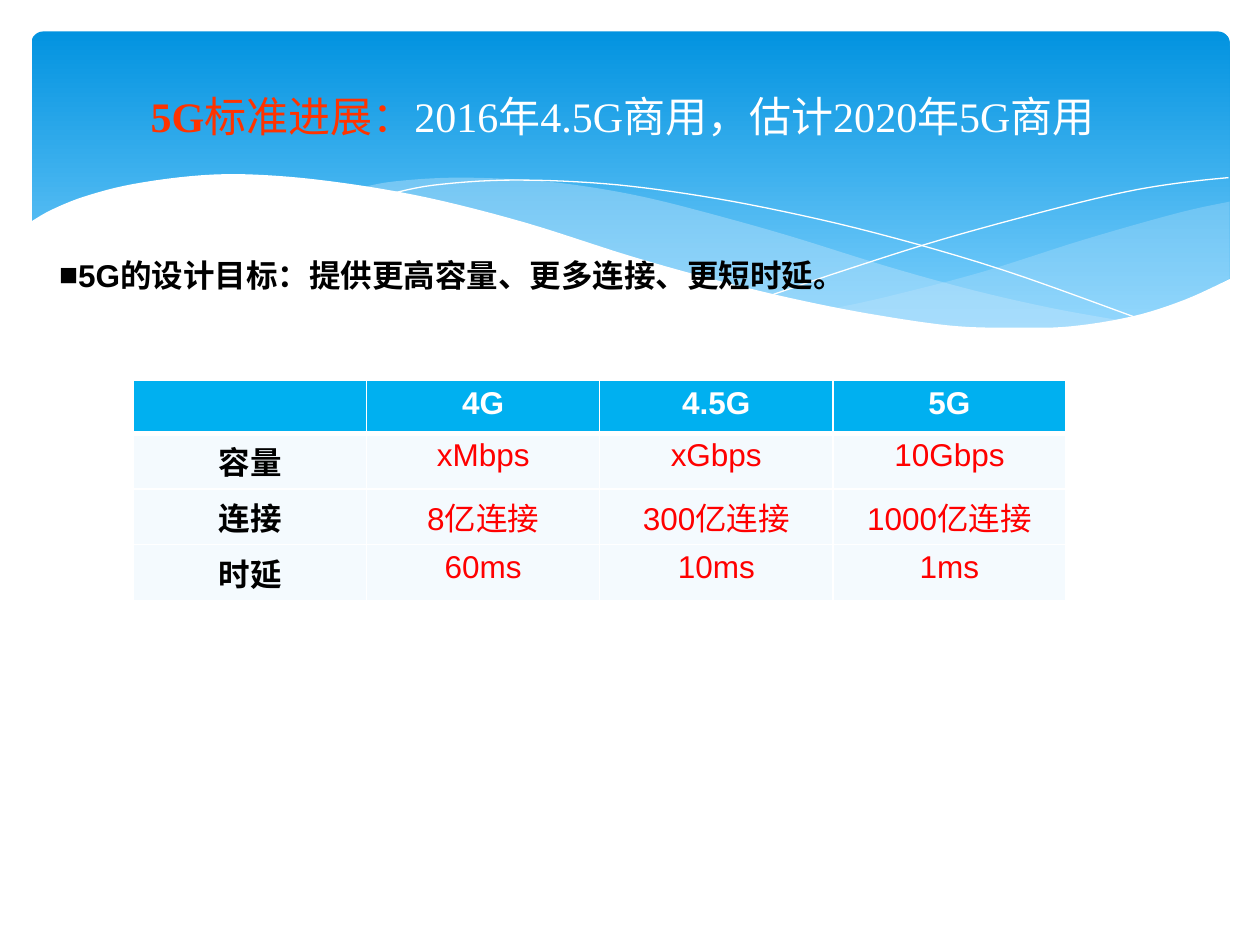
"""Build the slide on 5G standard progress, with a wave banner and a comparison table."""
from dataclasses import dataclass
from typing import Optional

from lxml.etree import SubElement
from pptx import Presentation
from pptx.dml.color import RGBColor
from pptx.enum.shapes import MSO_SHAPE
from pptx.enum.text import MSO_ANCHOR, MSO_AUTO_SIZE, PP_ALIGN
from pptx.oxml.ns import qn
from pptx.util import Inches, Pt

Point = tuple[float, float]


@dataclass(frozen=True)
class Theme:
    """Colours, fonts and type sizes of the slide."""
    white: str = "FFFFFF"
    black: str = "000000"
    banner_top: str = "0293E0"
    banner_end: str = "83D3FE"
    wave: str = "C6E7FC"
    accent: str = "FF3300"
    head: str = "00B0F0"
    cell: str = "F4FAFE"
    value: str = "FF0000"
    title_font: str = "Times New Roman"
    body_font: str = "Arial"
    title_size: int = 24
    body_size: int = 18


@dataclass(frozen=True)
class Wave:
    """Smooth curves joined by straight lines, filled when a fill is given."""
    curves: tuple[tuple[Point, ...], ...]
    fill: Optional[str] = None
    alpha: int = 100


T = Theme()
WAVES = (
    Wave((((9.76, 1.6), (9.35, 1.69), (8.61, 1.9), (7.79, 2.16), (7.06, 2.35), (6.61, 2.45)),
          ((6.61, 2.45), (7.05, 2.53), (7.57, 2.59), (8.03, 2.62), (8.54, 2.59), (8.97, 2.52),
           (9.35, 2.41), (9.76, 2.21))), T.wave, 29),
    Wave((((8.93, 2.55), (8.37, 2.45), (7.75, 2.31), (7.06, 2.12), (6.29, 1.88), (5.69, 1.71),
           (5.14, 1.57), (4.65, 1.48), (4.2, 1.43), (3.61, 1.41), (3.13, 1.44), (2.86, 1.49)),
          ((2.86, 1.49), (3.42, 1.59), (4.04, 1.75), (4.91, 2.02), (5.66, 2.24), (6.34, 2.4),
           (6.95, 2.52), (7.48, 2.59), (8.07, 2.63), (8.48, 2.62), (8.93, 2.55))), T.wave, 40),
    Wave((((3.09, 1.54), (3.44, 1.47), (4.01, 1.43), (4.69, 1.45), (5.33, 1.52), (6.08, 1.65),
           (6.95, 1.85), (7.95, 2.14), (9.07, 2.54)),)),
    Wave((((6.13, 2.34), (6.72, 2.14), (7.48, 1.9), (8.36, 1.66), (8.95, 1.52), (9.38, 1.45),
           (9.75, 1.41)),)),
    Wave((((9.77, 2.21), (9.4, 2.38), (8.99, 2.51), (8.5, 2.59), (8.09, 2.6), (7.61, 2.59),
           (7.08, 2.52), (6.48, 2.41), (5.79, 2.25), (5.03, 2.04), (4.18, 1.77), (3.4, 1.57),
           (2.71, 1.45), (2.11, 1.39), (1.61, 1.39), (1.06, 1.46), (0.67, 1.56), (0.4, 1.67),
           (0.23, 1.77)), ((0.23, 3.29), (9.77, 3.29))), T.white),
)
ROWS = (
    ("", "4G", "4.5G", "5G"),
    ("容量", "xMbps", "xGbps", "10Gbps"),
    ("连接", "8亿连接", "300亿连接", "1000亿连接"),
    ("时延", "60ms", "10ms", "1ms"),
)


def set_all(obj, **fmt) -> None:
    """Set each named attribute on an object."""
    for name, value in fmt.items():
        setattr(obj, name, value)


def paint(fill, color: str) -> None:
    """Give a fill one solid colour."""
    fill.solid()
    fill.fore_color.rgb = RGBColor.from_string(color)


def add_run(p, text: str, color: str, **fmt) -> None:
    """Add a formatted run to a paragraph."""
    r = p.add_run()
    r.text = text
    set_all(r.font, **fmt)
    r.font.color.rgb = RGBColor.from_string(color)


def smooth(pts: tuple[Point, ...], steps: int = 6) -> list[Point]:
    """Return points along a Catmull-Rom curve through the given points."""
    if len(pts) < 3:
        return list(pts)
    ends = (pts[0], *pts, pts[-1])
    curve = [pts[0]]
    for a, b, c, d in zip(ends, ends[1:], ends[2:], ends[3:]):
        for t in (i / steps for i in range(1, steps + 1)):
            x, y = (0.5 * (2 * q + (r - p) * t + (2 * p - 5 * q + 4 * r - u) * t ** 2
                           + (3 * q - p - 3 * r + u) * t ** 3)
                    for p, q, r, u in zip(a, b, c, d))
            curve.append((x, y))
    return curve


def add_banner(s) -> None:
    """Draw the rounded gradient banner."""
    sp = s.shapes.add_shape(MSO_SHAPE.ROUNDED_RECTANGLE, Inches(0.25), Inches(0.25),
                            Inches(9.51), Inches(2.7))
    sp.shadow.inherit = False
    sp.adjustments[0] = 0.034
    sp.line.fill.background()
    sp.fill.gradient()
    sp.fill.gradient_angle = 270
    stops = ((0, T.banner_top), (0.9, T.banner_end))
    for stop, (position, color) in zip(sp.fill.gradient_stops, stops):
        stop.position = position
        stop.color.rgb = RGBColor.from_string(color)


def add_wave(s, wave: Wave) -> None:
    """Draw one wave as a filled outline or a hairline."""
    pts = [(Inches(x), Inches(y)) for curve in wave.curves for x, y in smooth(curve)]
    fb = s.shapes.build_freeform(*pts[0])
    fb.add_line_segments(pts[1:], close=wave.fill is not None)
    sp = fb.convert_to_shape()
    sp.shadow.inherit = False
    if wave.fill is None:
        sp.fill.background()
        paint(sp.line.fill, T.white)
        sp.line.width = Pt(0)
        return
    sp.line.fill.background()
    paint(sp.fill, wave.fill)
    if wave.alpha < 100:
        color = sp.fill._xPr.find(qn("a:solidFill"))[0]
        SubElement(color, qn("a:alpha"), val=str(wave.alpha * 1000))


def place(s, sp, left: float, top: float, width: float, height: float):
    """Move a placeholder to the front and return its first paragraph."""
    set_all(sp, left=Inches(left), top=Inches(top), width=Inches(width), height=Inches(height))
    s.shapes._spTree.append(sp._element)
    set_all(sp.text_frame, word_wrap=True, auto_size=MSO_AUTO_SIZE.NONE)
    return sp.text_frame.paragraphs[0]


def add_title(s) -> None:
    """Write the two-coloured title."""
    p = place(s, s.shapes.title, 0.34, 0.6, 9.12, 0.64)
    s.shapes.title.text_frame.vertical_anchor = MSO_ANCHOR.MIDDLE
    p.alignment = PP_ALIGN.CENTER
    fmt = {"size": Pt(T.title_size), "name": T.title_font}
    add_run(p, " 5G", T.accent, bold=True, **fmt)
    add_run(p, "标准进展：", T.accent, **fmt)
    add_run(p, "2016年4.5G商用，估计2020年5G商用", T.white, **fmt)


def add_goal(s) -> None:
    """Write the bulleted design goal."""
    p = place(s, s.placeholders[1], 0.37, 1.83, 9.45, 0.56)
    set_all(p, line_spacing=1.5, space_before=Pt(0))
    pPr = p._p.get_or_add_pPr()
    pPr.set("marL", "0")
    pPr.set("indent", "0")
    SubElement(pPr, qn("a:buChar"), char="■")
    add_run(p, "5G的设计目标：提供更高容量、更多连接、更短时延。", T.black,
            size=Pt(T.body_size), name=T.body_font, bold=True)


def add_borders(cell, widths: dict[str, int]) -> None:
    """Give a cell white borders of the given widths in points."""
    tcPr = cell._tc.get_or_add_tcPr()
    for side, width in widths.items():
        ln = SubElement(tcPr, qn(f"a:ln{side}"), w=str(Pt(width)))
        SubElement(SubElement(ln, qn("a:solidFill")), qn("a:srgbClr"), val=T.white)


def add_comparison(s) -> None:
    """Draw the table comparing the generations."""
    table = s.shapes.add_table(len(ROWS), len(ROWS[0]), Inches(1.06), Inches(3.02),
                               Inches(7.4), Inches(1.68)).table
    for i, row in enumerate(ROWS):
        for j, text in enumerate(row):
            cell = table.cell(i, j)
            add_borders(cell, {"L": 1, "R": 1, "T": 3 if i == 1 else 1, "B": 3 if i == 0 else 1})
            paint(cell.fill, T.cell if i else T.head)
            set_all(cell, margin_left=Inches(0.07), margin_right=Inches(0.07),
                    margin_top=Inches(0.04), margin_bottom=Inches(0.04))
            p = cell.text_frame.paragraphs[0]
            p.alignment = PP_ALIGN.CENTER
            if text:
                color = T.white if i == 0 else T.black if j == 0 else T.value
                add_run(p, text, color, size=Pt(T.body_size), name=T.body_font,
                        bold=i == 0 or j == 0)


def main() -> None:
    """Build and save the slide."""
    prs = Presentation()
    set_all(prs, slide_width=Inches(10), slide_height=Inches(7.5))
    s = prs.slides.add_slide(prs.slide_layouts[1])
    add_banner(s)
    for wave in WAVES:
        add_wave(s, wave)
    add_title(s)
    add_comparison(s)
    add_goal(s)
    prs.save("out.pptx")


if __name__ == "__main__":
    main()
